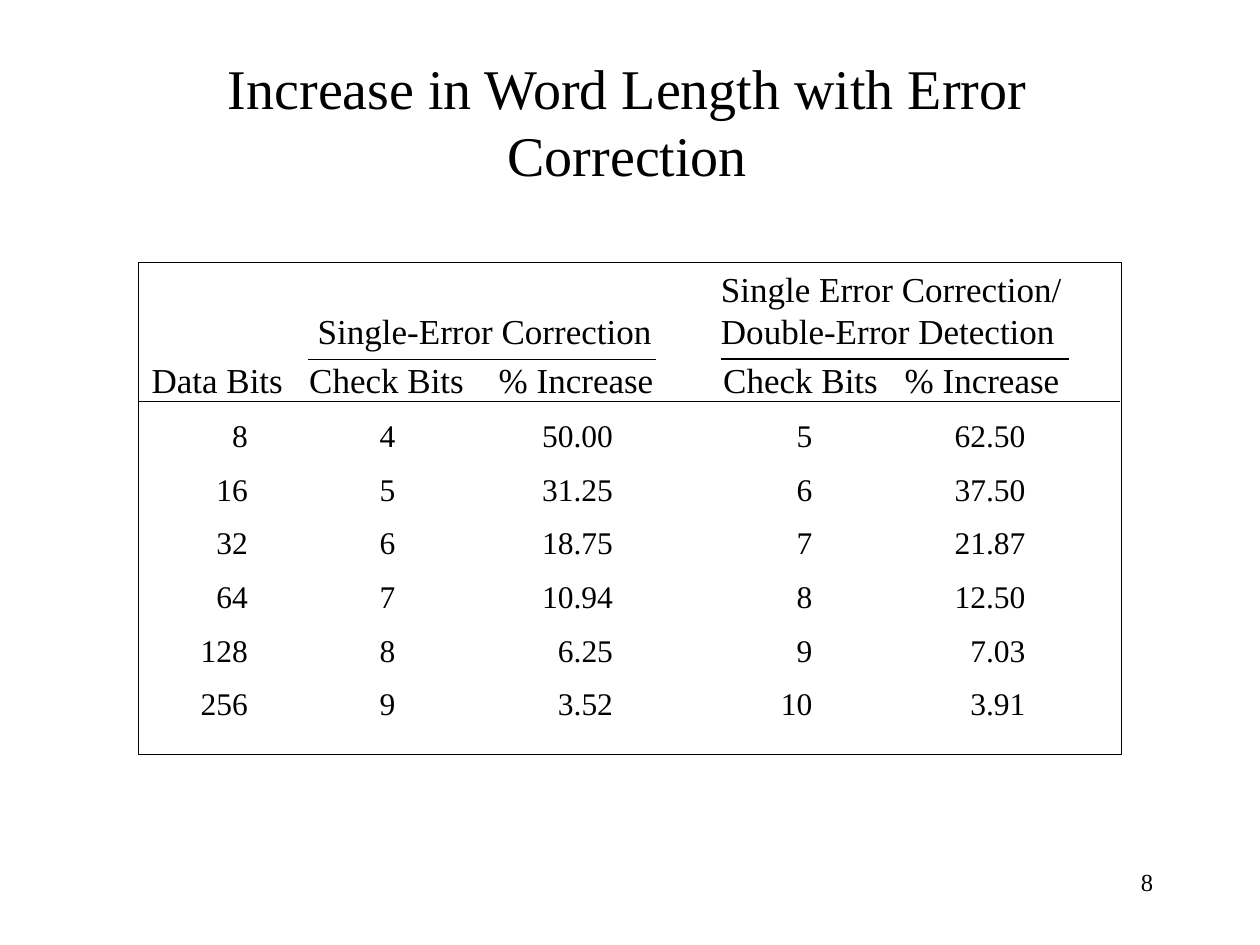
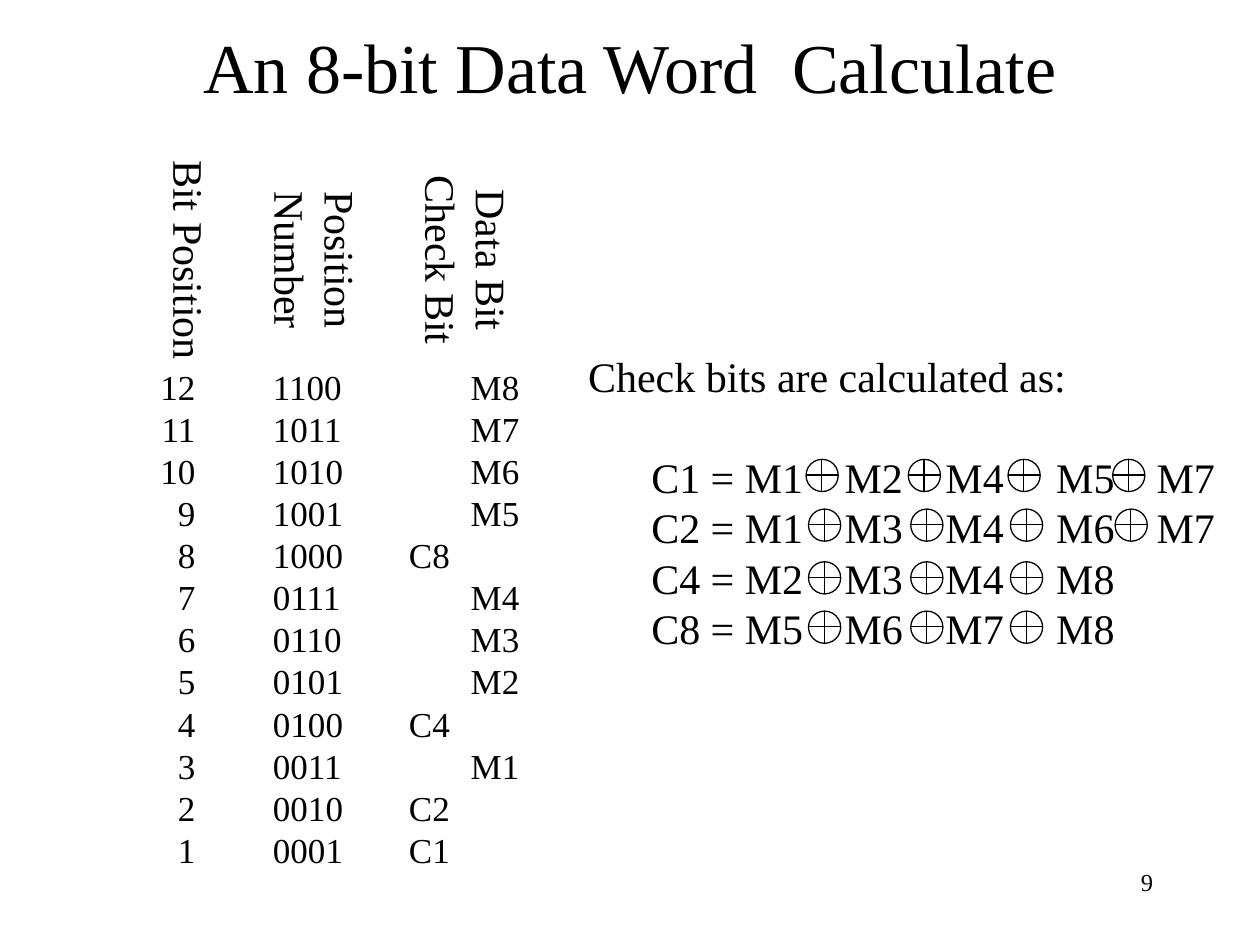
from lxml import etree
from pptx import Presentation
from pptx.dml.color import RGBColor
from pptx.enum.shapes import MSO_CONNECTOR as LINE, MSO_SHAPE as SHAPE
from pptx.enum.text import MSO_ANCHOR as ANCHOR, PP_ALIGN as ALIGN
from pptx.oxml.ns import qn
from pptx.util import Pt

BLACK = "000000"
FONT = "Times New Roman"
LINE_WIDTH = 0.75
PLAIN_TABLE = "{2D5ABB26-0587-4C30-8999-92F81FD0307C}"


def rgb(value):
    """Return the colour for a hex string."""
    return RGBColor.from_string(value)


def write(tf, lines, size, align=ALIGN.LEFT):
    """Fill a text frame with one paragraph per line, in the shared font."""
    tf.text = "\n".join(lines)
    for p in tf.paragraphs:
        p.alignment = align
        for r in p.runs:
            r.font.name, r.font.size = FONT, Pt(size)
            r.font.color.rgb = rgb(BLACK)


prs = Presentation()
prs.slide_width, prs.slide_height = Pt(720), Pt(540)

# Shared title and slide number
slides = []
for number, title, size, left, top, height in (
        (8, "Increase in Word Length with Error Correction", 32, 52.6, 24, 90),
        (9, "An 8-bit Data Word  Calculate", 40, 54, 0, 75)):
    s = prs.slides.add_slide(prs.slide_layouts[6])
    sp = s.shapes.add_textbox(Pt(left), Pt(top), Pt(612), Pt(height))
    tf = sp.text_frame
    tf.word_wrap, tf.vertical_anchor = True, ANCHOR.MIDDLE
    write(tf, [title], size, ALIGN.CENTER)
    sp = s.shapes.add_textbox(Pt(516), Pt(492), Pt(150), Pt(36))
    sp.text_frame.word_wrap = True
    write(sp.text_frame, [str(number)], 14, ALIGN.RIGHT)
    slides.append(s)
growth, check = slides

# Both tables: left, top, column widths, row heights
tables = []
for s, left, top, widths, heights in (
        (growth, 79.2, 149.8, [97, 108.8, 90, 37, 105, 94, 29.8],
         [55.4, 24] + [30.6] * 5 + [49.1]),
        (check, 84.3, 209.1, [27.4, 122, 35.3, 34], [24] * 12)):
    frame = s.shapes.add_table(len(heights), len(widths), Pt(left), Pt(top),
                               Pt(sum(widths)), Pt(sum(heights)))
    table = frame.table
    table.first_row = table.horz_banding = False
    table._tbl.tblPr.find(qn("a:tableStyleId")).text = PLAIN_TABLE
    for column, width in zip(table.columns, widths):
        column.width = Pt(width)
    for row, height in zip(table.rows, heights):
        row.height = Pt(height)
    for cell in table.iter_cells():
        cell.margin_left = cell.margin_right = 0
        cell.margin_top = cell.margin_bottom = 0
        cell.vertical_anchor = ANCHOR.BOTTOM
        cell.fill.background()
    tables.append(table)
growth_table, bit_table = tables

# Word length: headings
for col, lines, indent in (
        (1, ["Single-Error Correction"], 5.4),
        (4, ["Single Error Correction/", "Double-Error Detection"], 0)):
    cell = growth_table.cell(0, col)
    cell.merge(growth_table.cell(0, col + 1))
    cell.margin_left, cell.margin_bottom = Pt(indent), Pt(3.8)
    write(cell.text_frame, lines, 20)
    for p in cell.text_frame.paragraphs:
        p.line_spacing = Pt(24)
for col, heading, indent in (
        (0, "Data Bits", 7.4), (1, "Check Bits", 0.5), (2, "% Increase", 0),
        (4, "Check Bits", 1.3), (5, "% Increase", 0)):
    cell = growth_table.cell(1, col)
    cell.margin_left = Pt(indent)
    write(cell.text_frame, [heading], 20)

# Word length: values, as column, right margin, values
for col, margin, values in (
        (0, 34.5, "8 16 32 64 128 256"),
        (1, 59.1, "4 5 6 7 8 9"),
        (2, 24.7, "50.00 31.25 18.75 10.94 6.25 3.52"),
        (4, 52.8, "5 6 7 8 9 10"),
        (5, 25, "62.50 37.50 21.87 12.50 7.03 3.91")):
    for row, value in enumerate(values.split(), start=2):
        cell = growth_table.cell(row, col)
        cell.margin_right = Pt(margin)
        cell.margin_bottom = Pt(18.5 if row == 7 else 0)
        write(cell.text_frame, [value], 18, ALIGN.RIGHT)

# Word length: outer frame and heading rules
sp = growth.shapes.add_shape(SHAPE.RECTANGLE, Pt(79.2), Pt(149.8),
                             Pt(561.6), Pt(281.5))
sp.shadow.inherit = False
sp.fill.background()
sp.line.color.rgb, sp.line.width = rgb(BLACK), Pt(LINE_WIDTH)
strokes = [(growth, (79.2, 229.5, 640, 229.5)),
           (growth, (176.2, 205.6, 375, 205.6)),
           (growth, (412, 205.2, 610.8, 205.2))]

# Bit layout: rotated headings, with a gap between the groups
sp = check.shapes.add_textbox(Pt(83.5), Pt(84.5), Pt(216), Pt(121))
tf = sp.text_frame
tf.word_wrap = False
tf._txBody.bodyPr.set("vert", "eaVert")
write(tf, ["Data Bit", "Check Bit", "Position", "Number", "Bit Position"],
      24, ALIGN.CENTER)
for i in (2, 4):
    tf.paragraphs[i].space_before = Pt(28.8)

# Bit layout: powers of two hold check bits, the others data bits
data_bit = 0
for position in range(1, 13):
    row = 12 - position
    if position & (position - 1):
        data_bit += 1
        col, name = 3, f"M{data_bit}"
    else:
        col, name = 2, f"C{position}"
    write(bit_table.cell(row, 0).text_frame, [str(position)], 20, ALIGN.RIGHT)
    cell = bit_table.cell(row, 1)
    cell.margin_left = Pt(44.3)
    write(cell.text_frame, [f"{position:04b}"], 20)
    write(bit_table.cell(row, col).text_frame, [name], 20)

# Check bit equations, with tab stops between the terms
sp = check.shapes.add_textbox(Pt(329), Pt(196.6), Pt(300), Pt(36))
sp.text_frame.word_wrap = False
write(sp.text_frame, ["Check bits are calculated as:"], 24)

equations = ["C1 = M1 M2 M4 M5 M7", "C2 = M1 M3 M4 M6 M7",
             "C4 = M2 M3 M4 M8", "C8 = M5 M6 M7 M8"]
sp = check.shapes.add_textbox(Pt(372.2), Pt(257.9), Pt(335), Pt(116))
tf = sp.text_frame
tf.word_wrap = True
tf.margin_left = tf.margin_right = tf.margin_top = tf.margin_bottom = 0
write(tf, [e.replace(" M", "\tM").replace("=\t", "= ") for e in equations], 24)
for p in tf.paragraphs:
    tabs = etree.SubElement(p._p.get_or_add_pPr(), qn("a:tabLst"))
    for stop in (110.5, 168.1, 231.4, 288.8):
        etree.SubElement(tabs, qn("a:tab"), pos=str(Pt(stop)), algn="l")

# Exclusive-or signs: a circle with a cross, one before each further term
SIGN, MIDDLE = 18.4, 9
for i, (equation, y) in enumerate(zip(equations, (262.5, 290.9, 321, 349.2))):
    for x in (462, 520.4, 577.4, 637.2)[:equation.count("M") - 1]:
        x -= 0 if i else 1.4
        sp = check.shapes.add_shape(SHAPE.OVAL, Pt(x), Pt(y), Pt(SIGN), Pt(SIGN))
        sp.shadow.inherit = False
        sp.fill.background()
        sp.line.color.rgb, sp.line.width = rgb(BLACK), Pt(LINE_WIDTH)
        strokes += [(check, (x, y + MIDDLE, x + SIGN, y + MIDDLE)),
                    (check, (x + MIDDLE, y, x + MIDDLE, y + SIGN))]

# Heading rules and crosses
for s, ends in strokes:
    stroke = s.shapes.add_connector(LINE.STRAIGHT, *map(Pt, ends))
    stroke.line.color.rgb, stroke.line.width = rgb(BLACK), Pt(LINE_WIDTH)
    etree.SubElement(stroke._element.spPr, qn("a:effectLst"))

prs.save("out.pptx")
